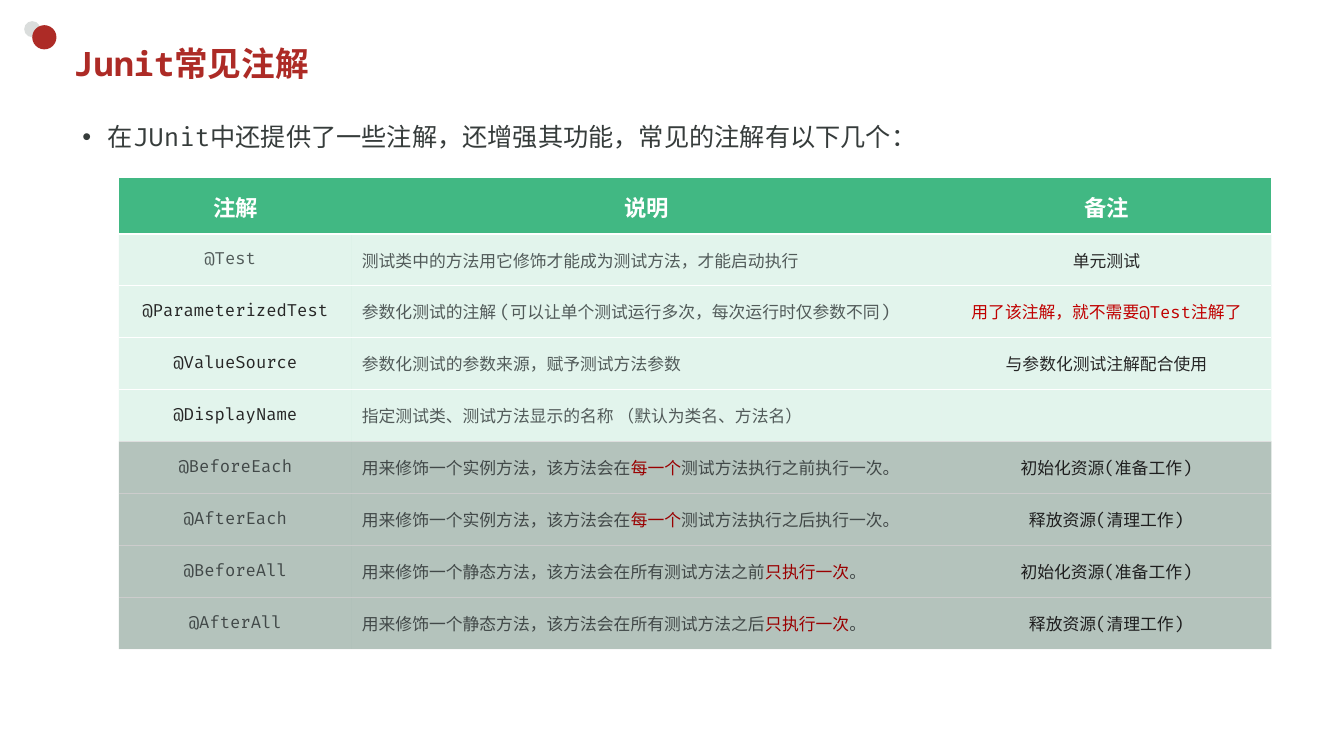
from lxml import etree
from pptx import Presentation
from pptx.dml.color import RGBColor
from pptx.enum.shapes import MSO_SHAPE
from pptx.enum.text import MSO_ANCHOR, PP_ALIGN
from pptx.oxml.ns import qn
from pptx.util import Inches, Pt

OVAL, RECTANGLE = MSO_SHAPE.OVAL, MSO_SHAPE.RECTANGLE
MIDDLE, TOP = MSO_ANCHOR.MIDDLE, MSO_ANCHOR.TOP
LEFT, CENTER = PP_ALIGN.LEFT, PP_ALIGN.CENTER
TITLE_FONT, BODY_FONT = "Noto Sans Mono", "Fira Code"
BRAND_RED, ACCENT_RED, GREEN, WHITE = "AD2B26", "C00000", "41B883", "FFFFFF"
DARK, GRAY = "262626", "525B5A"
HEADERS = ["注解", "说明", "备注"]
COLUMN_WIDTHS = [2.31, 5.85, 3.27]
HEADER_HEIGHT = 0.56
PLAIN_ROWS = 4
DARK_LABELS = {"@ParameterizedTest", "@ValueSource", "@DisplayName"}
ROWS = [
    ("@Test ", "测试类中的方法用它修饰才能成为测试方法，才能启动执行", "单元测试"),
    ("@ParameterizedTest", "参数化测试的注解 (可以让单个测试运行多次，每次运行时仅参数不同)",
     "|用了该注解，就不需要@Test注解了|"),
    ("@ValueSource", "参数化测试的参数来源，赋予测试方法参数", "与参数化测试注解配合使用"),
    ("@DisplayName", "指定测试类、测试方法显示的名称 （默认为类名、方法名）", ""),
    ("@BeforeEach", "用来修饰一个实例方法，该方法会在|每一个|测试方法执行之前执行一次。", "初始化资源(准备工作)"),
    ("@AfterEach", "用来修饰一个实例方法，该方法会在|每一个|测试方法执行之后执行一次。", "释放资源(清理工作)"),
    ("@BeforeAll", "用来修饰一个静态方法，该方法会在所有测试方法之前|只执行一次|。", "初始化资源(准备工作)"),
    ("@AfterAll", "用来修饰一个静态方法，该方法会在所有测试方法之后|只执行一次|。", "释放资源(清理工作)"),
]


def color(value):
    """Turn a hex string into a colour."""
    return RGBColor.from_string(value)


def set_fill(fill, value, opacity=100):
    """Fill with one colour at an opacity in percent."""
    fill.solid()
    fill.fore_color.rgb = color(value)
    if opacity < 100:
        for element in fill._xPr.iter(qn("a:srgbClr")):
            etree.SubElement(element, qn("a:alpha"), val=str(opacity * 1000))


def add_filled_shape(slide, kind, box, value, opacity=100):
    """Add a borderless preset shape."""
    shape = slide.shapes.add_shape(kind, *map(Inches, box))
    shape.shadow.inherit = False
    set_fill(shape.fill, value, opacity)
    shape.line.fill.background()


def style_font(font, name, size, value, bold=False):
    """Set the typeface, size, colour and weight."""
    font.name, font.size, font.bold = name, Pt(size), bold
    font.color.rgb = color(value)


def add_text(slide, box, text, anchor):
    """Add a wrapping text box and return its paragraph."""
    text_frame = slide.shapes.add_textbox(*map(Inches, box)).text_frame
    text_frame.word_wrap = True
    text_frame.vertical_anchor = anchor
    text_frame.text = text
    return text_frame.paragraphs[0]


def add_heading(slide, box):
    """Place the two dots and the title beside them."""
    left, top, width, height = box
    add_filled_shape(slide, OVAL, (left - 0.39, top - 0.16, 0.16, 0.16), "DADDDC")
    add_filled_shape(slide, OVAL, (left - 0.31, top - 0.12, 0.24, 0.24), BRAND_RED)
    paragraph = add_text(slide, box, "Junit常见注解", MIDDLE)
    style_font(paragraph.runs[0].font, TITLE_FONT, 24, BRAND_RED, True)


def add_introduction(slide, box):
    """Place the bulleted sentence above the table."""
    paragraph = add_text(slide, box, "在JUnit中还提供了一些注解，还增强其功能，常见的注解有以下几个：", TOP)
    properties = paragraph._p.get_or_add_pPr()
    properties.set("marL", str(Inches(0.25)))
    properties.set("indent", str(-Inches(0.25)))
    etree.SubElement(properties, qn("a:buFont"), typeface="Arial")
    etree.SubElement(properties, qn("a:buChar"), char="•")
    paragraph.line_spacing = 0.9
    style_font(paragraph.runs[0].font, BODY_FONT, 18, "363C3B")


def set_borders(cell, top, bottom):
    """Draw white lines above and below a cell and none at its sides."""
    properties = cell._tc.get_or_add_tcPr()
    widths = {"a:lnL": 0, "a:lnR": 0, "a:lnT": top, "a:lnB": bottom}
    for position, (tag, width) in enumerate(widths.items()):
        line = etree.Element(qn(tag), w=str(Pt(width)))
        if width:
            fill = etree.SubElement(line, qn("a:solidFill"))
            etree.SubElement(fill, qn("a:srgbClr"), val=WHITE)
        else:
            etree.SubElement(line, qn("a:noFill"))
        properties.insert(position, line)


def fill_cell(cell, text, alignment, size, value, bold=False):
    """Write a cell, with the parts between bars in red."""
    cell.vertical_anchor = MIDDLE
    paragraph = cell.text_frame.paragraphs[0]
    paragraph.alignment = alignment
    style_font(paragraph.font, BODY_FONT, size, value, bold)
    for index, part in enumerate(text.split("|")):
        if part:
            run = paragraph.add_run()
            run.text = part
            style_font(run.font, BODY_FONT, size, ACCENT_RED if index % 2 else value, bold)
    return paragraph


def add_annotation_table(slide, box):
    """Place the annotation table and shade its lifecycle rows."""
    left, top, width, height = box
    row_height = (height - HEADER_HEIGHT) / len(ROWS)
    table = slide.shapes.add_table(len(ROWS) + 1, len(HEADERS), *map(Inches, box)).table
    table.first_row = table.horz_banding = False
    for column, column_width in zip(table.columns, COLUMN_WIDTHS):
        column.width = Inches(column_width)
    for index, row in enumerate(table.rows):
        row.height = Inches(row_height if index else HEADER_HEIGHT)

    for cell, header in zip(table.rows[0].cells, HEADERS):
        fill_cell(cell, header, CENTER, 16, WHITE, True).line_spacing = Pt(24)
        set_fill(cell.fill, GREEN)
        set_borders(cell, 0.75, 1.5)
    for index, texts in enumerate(ROWS, 1):
        values = [DARK if texts[0] in DARK_LABELS else GRAY, GRAY, DARK]
        for cell, text, alignment, value in zip(
                table.rows[index].cells, texts, (CENTER, LEFT, CENTER), values):
            fill_cell(cell, text, alignment, 12, value)
            set_fill(cell.fill, GREEN, 15)
            set_borders(cell, 1.5 if index == 1 else 0.75, 0.75)

    offset = HEADER_HEIGHT + PLAIN_ROWS * row_height
    add_filled_shape(slide, RECTANGLE, (left, top + offset, width, height - offset), "000000", 20)


def main():
    """Build the slide and save it."""
    presentation = Presentation()
    presentation.slide_width, presentation.slide_height = Inches(13.33), Inches(7.5)
    slide = presentation.slides.add_slide(presentation.slide_layouts[6])
    add_heading(slide, (0.63, 0.37, 11.75, 0.52))
    add_introduction(slide, (0.72, 1.19, 11.76, 0.57))
    add_annotation_table(slide, (1.18, 1.76, 11.43, 4.68))
    presentation.save("out.pptx")


if __name__ == "__main__":
    main()
